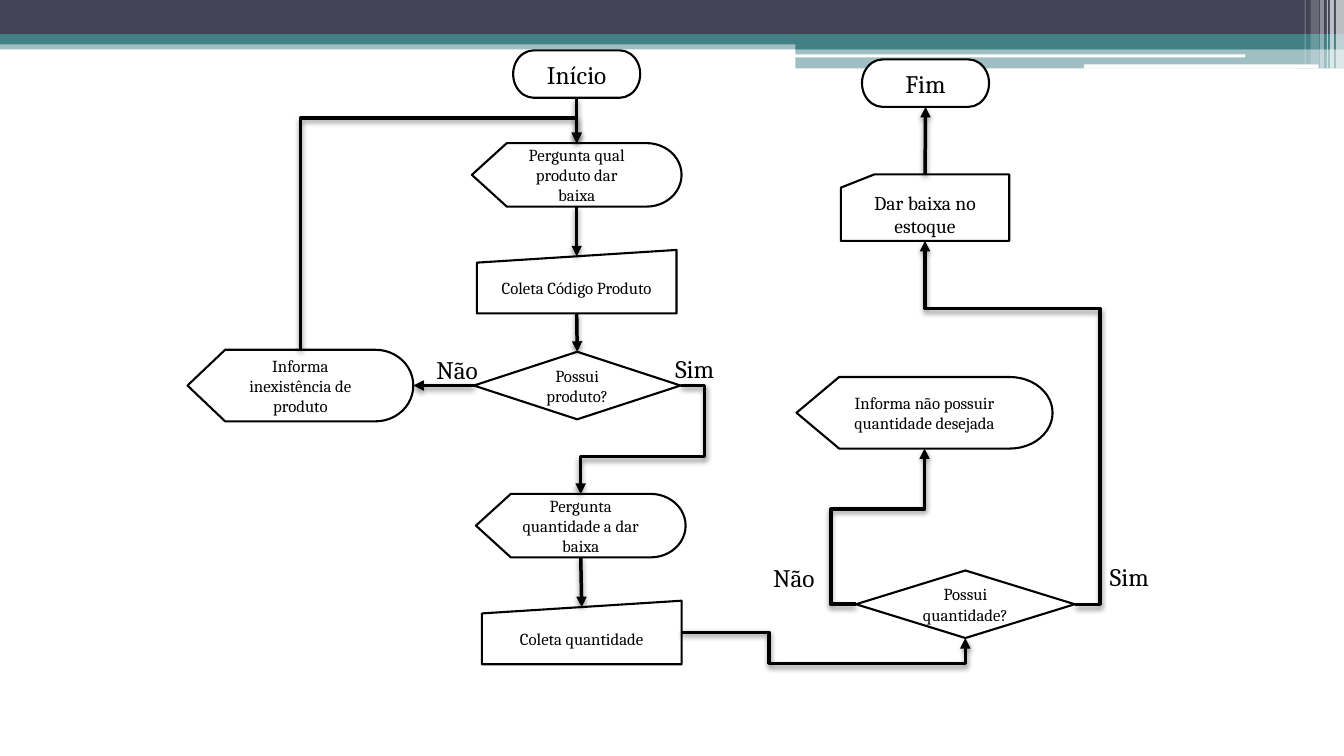
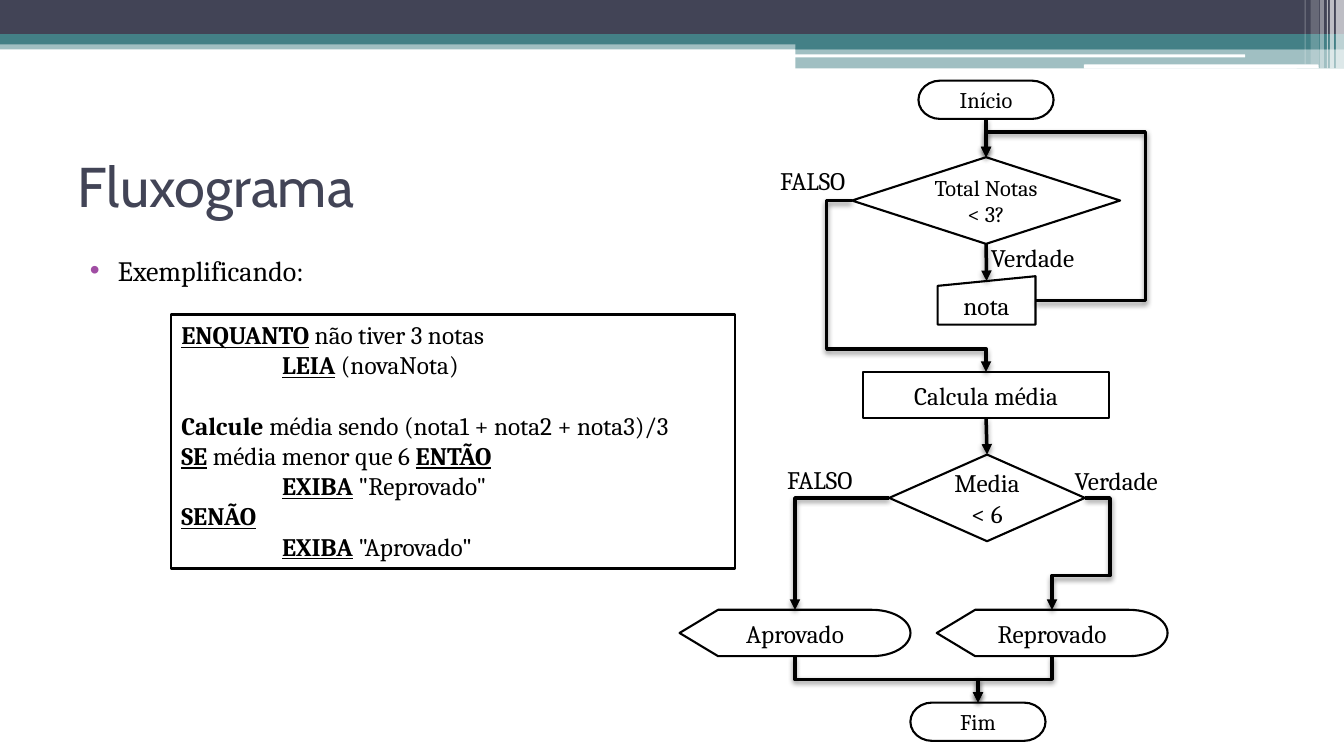
"""Build two flowchart slides on a shared banded master."""
from lxml import etree
from pptx import Presentation
from pptx.dml.color import RGBColor
from pptx.enum.shapes import MSO_CONNECTOR, MSO_SHAPE
from pptx.enum.text import MSO_ANCHOR, MSO_AUTO_SIZE, PP_ALIGN
from pptx.oxml.ns import qn
from pptx.util import Inches, Pt

RECT, ROUND = MSO_SHAPE.RECTANGLE, MSO_SHAPE.ROUNDED_RECTANGLE
TERM, TEST = MSO_SHAPE.FLOWCHART_TERMINATOR, MSO_SHAPE.FLOWCHART_DECISION
SHOW, INPUT = MSO_SHAPE.FLOWCHART_DISPLAY, MSO_SHAPE.FLOWCHART_MANUAL_INPUT
CARD, STEP = MSO_SHAPE.FLOWCHART_CARD, MSO_SHAPE.FLOWCHART_PROCESS
LINE, ELBOW = MSO_CONNECTOR.STRAIGHT, MSO_CONNECTOR.ELBOW
LEFT, CENTER = PP_ALIGN.LEFT, PP_ALIGN.CENTER
TOP_SIDE, LEFT_SIDE, BASE, RIGHT_SIDE = range(4)
WHITE, BLACK, NAVY, TEAL, PURPLE = "FFFFFF", "000000", "424456", "438086", "A04DA3"


def draw(slide, kind, box, fill, line=None):
    """Add a flat shape with a fill and an optional outline."""
    shape = slide.shapes.add_shape(kind, *map(Inches, box))
    shape.shadow.inherit = False
    shape.fill.solid()
    shape.fill.fore_color.rgb = RGBColor.from_string(fill)
    if line:
        shape.line.color.rgb = RGBColor.from_string(line)
        shape.line.width = Pt(1.5)
    else:
        shape.line.fill.background()
    return shape


def style(para, size, align=LEFT, name="Cambria", color=BLACK):
    """Set the font and alignment of a paragraph."""
    para.alignment = align
    para.font.size = Pt(size)
    para.font.name = name
    para.font.color.rgb = RGBColor.from_string(color)


prs = Presentation()
prs.slide_width, prs.slide_height = Inches(13.33), Inches(7.5)
stock = prs.slides.add_slide(prs.slide_layouts[6])
grades = prs.slides.add_slide(prs.slide_layouts[1])

bands = [
    (RECT, (0, 0.4, 13.33, 0.09), TEAL, 50),
    (RECT, (0, 0, 13.33, 0.34), NAVY, 100),
    (RECT, (0, 0.34, 13.33, 0.1), TEAL, 100),
    (RECT, (7.89, 0.39, 5.44, 0.1), TEAL, 100),
    (RECT, (7.89, 0.48, 5.44, 0.2), TEAL, 50),
    (ROUND, (7.88, 0.54, 4.47, 0.03), WHITE, 100),
    (ROUND, (10.75, 0.64, 2.33, 0.04), WHITE, 100),
    (RECT, (13.25, 0, 0.08, 0.68), WHITE, 65),
    (RECT, (13.19, 0, 0.04, 0.68), WHITE, 65),
    (RECT, (13.16, 0, 0.01, 0.68), WHITE, 60),
    (RECT, (13.09, 0, 0.04, 0.68), WHITE, 40),
    (RECT, (13, 0, 0.08, 0.64), WHITE, 20),
    (RECT, (12.94, 0, 0.01, 0.64), WHITE, 30),
]
tree = prs.slide_master.element.cSld.spTree
for i, (kind, box, fill, alpha) in enumerate(bands):
    band = draw(stock, kind, box, fill).element
    if alpha < 100:
        tint = band.spPr.find(qn("a:solidFill")).find(qn("a:srgbClr"))
        etree.SubElement(tint, qn("a:alpha")).set("val", str(alpha * 1000))
    band.nvSpPr.cNvPr.set("id", str(20 + i))
    tree.insert(2 + i, band)

title, body = grades.placeholders
for holder, box in ((title, (0.67, 1.25, 12, 1.17)), (body, (0.67, 2.46, 12, 4.73))):
    holder.left, holder.top, holder.width, holder.height = map(Inches, box)
    holder.text_frame.auto_size = MSO_AUTO_SIZE.NONE
title.text_frame.text = "Fluxograma"
title.text_frame.vertical_anchor = MSO_ANCHOR.MIDDLE
style(title.text_frame.paragraphs[0], 40, name="Cabin", color=NAVY)
body.text_frame.text = "Exemplificando:"
para = body.text_frame.paragraphs[0]
style(para, 20)
para.space_before = Pt(3)
props = para._p.get_or_add_pPr()
props.set("marL", str(Inches(0.4)))
props.set("indent", str(Inches(-0.28)))
tint = etree.SubElement(props, qn("a:buClr"))
etree.SubElement(tint, qn("a:srgbClr")).set("val", PURPLE)
etree.SubElement(props, qn("a:buChar")).set("char", "•")

code = [
    (0, 0, [("ENQUANTO", "bu"), (" não tiver 3 notas", "")]),
    (1, 0, [("LEIA", "bu"), (" (novaNota)", "")]),
    (0, 21.5, [("Calcule", "b"), (" média sendo (nota1 + nota2 + nota3)/3", "")]),
    (0, 0, [("SE", "bu"), (" média menor que 6 ", ""), ("ENTÃO", "bu")]),
    (1, 0, [("EXIBA", "bu"), (' "Reprovado"', "")]),
    (0, 0, [("SENÃO", "bu")]),
    (1, 0, [("EXIBA", "bu"), (' "Aprovado"', "")]),
]
frame = draw(grades, RECT, (1.7, 3.12, 5.59, 2.52), WHITE, BLACK).text_frame
frame.word_wrap = True
frame.vertical_anchor = MSO_ANCHOR.TOP
for i, (indent, gap, runs) in enumerate(code):
    para = frame.add_paragraph() if i else frame.paragraphs[0]
    style(para, 18)
    para.space_before = Pt(gap)
    para._p.get_or_add_pPr().set("marL", str(Inches(indent)))
    for text, marks in runs:
        run = para.add_run()
        run.text = text
        run.font.bold = "b" in marks
        run.font.underline = "u" in marks

stock_nodes = {
    "start": (TERM, (5.09, 0.5, 1.26, 0.47), "Início", 18),
    "has": (TEST, (4.7, 3.49, 2.05, 0.67), "Possui produto?", 12),
    "ask": (SHOW, (4.68, 1.42, 2.08, 0.63), "Pergunta qual produto dar baixa", 12),
    "end": (TERM, (8.55, 0.59, 1.26, 0.47), "Fim", 18),
    "code": (INPUT, (4.73, 2.48, 1.98, 0.63), "Coleta Código Produto", 12),
    "none": (SHOW, (1.86, 3.47, 2.24, 0.71), "Informa inexistência de produto", 12),
    "count": (SHOW, (4.72, 4.9, 2.08, 0.63), "Pergunta quantidade a dar baixa", 12),
    "drop": (CARD, (8.34, 1.73, 1.67, 0.66), "Dar baixa no estoque", 14),
    "read": (INPUT, (4.78, 5.96, 1.98, 0.63), "Coleta quantidade", 12),
    "enough": (TEST, (8.49, 5.66, 2.17, 0.67), "Possui quantidade?", 12),
    "short": (SHOW, (7.9, 3.74, 2.54, 0.71), "Informa não possuir quantidade desejada", 12),
}
stock_links = [
    ("start", BASE, "ask", TOP_SIDE, None),
    ("ask", BASE, "code", TOP_SIDE, None),
    ("code", BASE, "has", TOP_SIDE, None),
    ("has", LEFT_SIDE, "none", RIGHT_SIDE, None),
    ("none", TOP_SIDE, "ask", TOP_SIDE, [1.17]),
    ("has", RIGHT_SIDE, "count", TOP_SIDE, [6.99, 4.53]),
    ("count", BASE, "read", TOP_SIDE, None),
    ("read", RIGHT_SIDE, "enough", BASE, [7.63, 6.58]),
    ("enough", LEFT_SIDE, "short", BASE, [8.24, 5.05]),
    ("enough", RIGHT_SIDE, "drop", BASE, [10.91, 3.06]),
    ("drop", TOP_SIDE, "end", BASE, None),
]
stock_tags = [
    ("Não", (4.23, 3.47, 0.66, 0.4)),
    ("Não", (7.57, 5.53, 0.66, 0.4)),
    ("Sim", (6.6, 3.46, 0.64, 0.4)),
    ("Sim", (10.91, 5.52, 0.64, 0.4)),
]
grade_nodes = {
    "start": (TERM, (9.11, 0.8, 1.34, 0.38), "Início", 16),
    "total": (TEST, (8.45, 1.56, 2.66, 0.86), "Total Notas < 3?", 16),
    "note": (INPUT, (9.3, 2.74, 0.97, 0.48), "nota", 18),
    "mean": (STEP, (8.56, 3.69, 2.44, 0.46), "Calcula média", 18),
    "test": (TEST, (8.82, 4.51, 1.94, 0.86), "Media < 6", 18),
    "end": (TERM, (9.03, 6.97, 1.34, 0.38), "Fim", 16),
    "fail": (SHOW, (9.29, 6.05, 2.29, 0.46), "Reprovado", 18),
    "pass": (SHOW, (6.74, 6.05, 2.29, 0.46), "Aprovado", 18),
}
grade_links = [
    ("start", BASE, "total", TOP_SIDE, None),
    ("total", BASE, "note", TOP_SIDE, None),
    ("total", LEFT_SIDE, "mean", TOP_SIDE, [8.2, 3.46]),
    ("mean", BASE, "test", TOP_SIDE, None),
    ("note", RIGHT_SIDE, "total", TOP_SIDE, [11.36, 1.31]),
    ("pass", BASE, "end", TOP_SIDE, [6.74]),
    ("fail", BASE, "end", TOP_SIDE, [6.74]),
    ("test", RIGHT_SIDE, "fail", TOP_SIDE, [11.01, 5.71]),
    ("test", LEFT_SIDE, "pass", TOP_SIDE, []),
]
grade_tags = [
    ("FALSO", (7.64, 1.59, 1, 0.4)),
    ("Verdade", (9.73, 2.36, 1.14, 0.4)),
    ("Verdade", (10.56, 4.57, 1.14, 0.4)),
    ("FALSO", (7.71, 4.56, 1, 0.4)),
]

for slide, nodes, links, tags in (
    (stock, stock_nodes, stock_links, stock_tags),
    (grades, grade_nodes, grade_links, grade_tags),
):
    made = {}
    for key, (kind, box, text, size) in nodes.items():
        made[key] = draw(slide, kind, box, WHITE, BLACK)
        frame = made[key].text_frame
        frame.text = text
        frame.word_wrap = True
        frame.vertical_anchor = MSO_ANCHOR.MIDDLE
        style(frame.paragraphs[0], size, CENTER)

    for source, out, target, into, bends in links:
        link = slide.shapes.add_connector(LINE if bends is None else ELBOW, 0, 0, 0, 0)
        link.begin_connect(made[source], out)
        link.end_connect(made[target], into)
        if nodes[target][0] == INPUT:
            link.end_y += made[target].height // 10
        link.line.color.rgb = RGBColor.from_string(BLACK)
        link.line.width = Pt(2.5)
        spot = link.element.spPr
        etree.SubElement(spot.find(qn("a:ln")), qn("a:tailEnd")).set("type", "triangle")
        glow = etree.SubElement(etree.SubElement(spot, qn("a:effectLst")), qn("a:outerShdw"))
        for key, value in (("blurRad", Pt(4)), ("dist", Pt(2)), ("dir", 5400000), ("rotWithShape", 0)):
            glow.set(key, str(value))
        tint = etree.SubElement(glow, qn("a:srgbClr"))
        tint.set("val", BLACK)
        etree.SubElement(tint, qn("a:alpha")).set("val", "45000")
        if bends is None:
            continue

        x0, y0, x1, y1 = link.begin_x, link.begin_y, link.end_x, link.end_y
        spans = [(x0, x1), (y0, y1)]
        if out in (TOP_SIDE, BASE):
            spans.reverse()
            mx, my = (x0 + x1) // 2, (y0 + y1) // 2
            link.begin_x, link.begin_y = mx + y0 - my, my + mx - x0
            link.end_x, link.end_y = mx + y1 - my, my + mx - x1
            spot.find(qn("a:xfrm")).set("rot", "5400000")
        shape = spot.find(qn("a:prstGeom"))
        shape.set("prst", f"bentConnector{len(bends) + 2}")
        for i, (bend, (first, last)) in enumerate(zip(bends, spans), 1):
            ratio = round((Inches(bend) - first) / (last - first) * 100000)
            guide = etree.SubElement(shape.find(qn("a:avLst")), qn("a:gd"))
            guide.set("name", f"adj{i}")
            guide.set("fmla", f"val {ratio}")

    for text, box in tags:
        frame = slide.shapes.add_textbox(*map(Inches, box)).text_frame
        frame.text = text
        frame.word_wrap = False
        frame.auto_size = MSO_AUTO_SIZE.SHAPE_TO_FIT_TEXT
        style(frame.paragraphs[0], 18)

prs.save("out.pptx")
